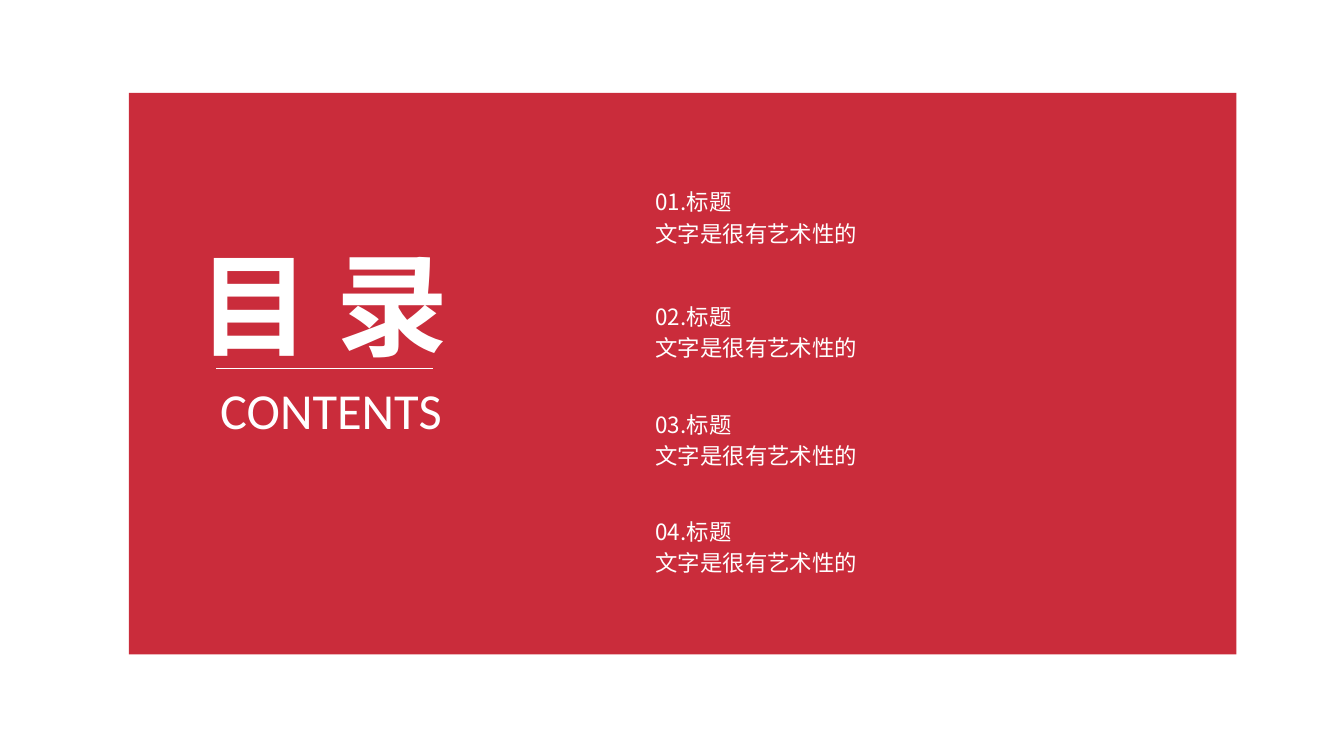
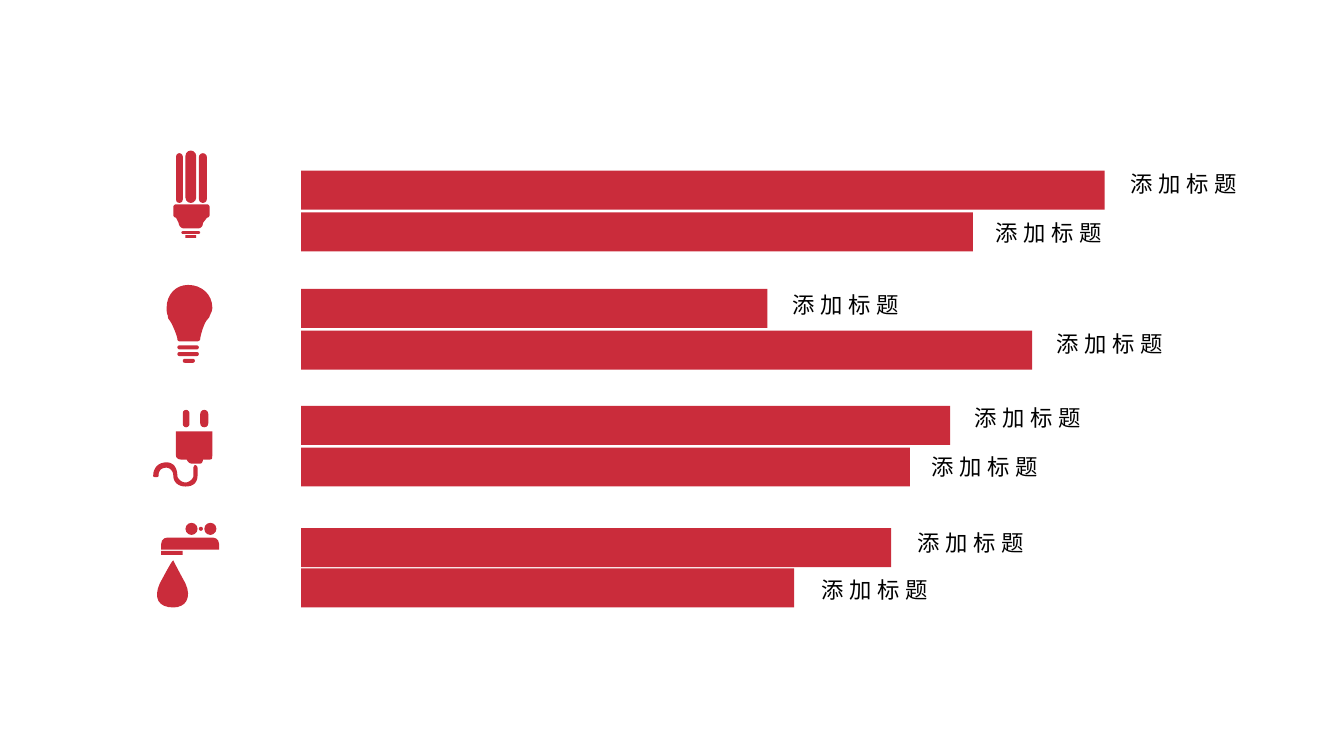
from lxml import etree
from pptx import Presentation
from pptx.dml.color import RGBColor
from pptx.enum.shapes import MSO_CONNECTOR, MSO_SHAPE
from pptx.enum.text import MSO_AUTO_SIZE, PP_ALIGN
from pptx.oxml.ns import qn
from pptx.util import Pt

PX = 9144  # 100 px to the inch
RED, WHITE, BLACK = "CA2C3B", "FFFFFF", "000000"
SANS, LATIN = "Noto Sans CJK SC", "Calibri"
RECT, OVAL = MSO_SHAPE.RECTANGLE, MSO_SHAPE.OVAL
PILL, TAP = MSO_SHAPE.ROUNDED_RECTANGLE, MSO_SHAPE.ROUND_2_SAME_RECTANGLE
LEFT, MID = PP_ALIGN.LEFT, PP_ALIGN.CENTER
STEPS = 8


def paint(shape, color):
    shape.shadow.inherit = False
    shape.fill.solid()
    shape.fill.fore_color.rgb = RGBColor.from_string(color)
    shape.line.fill.background()


def write(slide, box, text, size, color, font=SANS, bold=False,
          align=LEFT, wrap=True, space=0):
    """Add a one-run text box; space is letter spacing in points."""
    frame = slide.shapes.add_textbox(*[v * PX for v in box]).text_frame
    frame.word_wrap = wrap
    frame.auto_size = MSO_AUTO_SIZE.SHAPE_TO_FIT_TEXT
    para = frame.paragraphs[0]
    para.alignment = align
    run = para.add_run()
    run.text = text
    run.font.size = Pt(size)
    run.font.bold = bold
    run.font.color.rgb = RGBColor.from_string(color)
    run.font.name = font
    props = run.font._element
    etree.SubElement(props, qn("a:ea")).set("typeface", SANS)
    if space:
        props.set("spc", str(space * 100))


deck = Presentation()
deck.slide_width = 1000 * PX
deck.slide_height = deck.slide_width * 9 // 16
blank = deck.slide_layouts[6]

# Contents
slide = deck.slides.add_slide(blank)
panel = slide.shapes.add_shape(RECT, 96 * PX, 69 * PX, 824 * PX, 418 * PX)
paint(panel, RED)

items = [(135, 159, 30), (221, 244, 50), (301, 324, 50), (381, 404, 50)]
for num, (top, low, high) in enumerate(items, 1):
    write(slide, (478, top, 133, 30), f"{num:02}.标题", 12, WHITE)
    write(slide, (478, low, 346, high), "文字是很有艺术性的", 12, WHITE, LATIN)

write(slide, (138, 170, 297, 111), "目 录", 60, WHITE, bold=True)
rule = slide.shapes.add_connector(
    MSO_CONNECTOR.STRAIGHT, 161 * PX, 274 * PX, 322 * PX, 274 * PX)
rule.line.color.rgb = RGBColor.from_string(WHITE)
rule.line.width = Pt(0.75)
etree.SubElement(rule._element.spPr, qn("a:effectLst"))
write(slide, (154, 277, 222, 56), "CONTENTS", 27, WHITE, LATIN)

# Bars with icons
slide = deck.slides.add_slide(blank)

# Outlines: a start point, then lines (x, y) and curves (two handles, end)
drop = [(138, 434), (143, 445, 138, 452, 129, 452),
        (118, 452, 114, 445, 119, 434), (124, 425, 128, 417, 129, 417),
        (129, 417, 133, 425, 138, 434)]
plug = [(131, 321), (158, 321), (158, 339), (158, 341, 158, 342, 156, 342),
        (151, 342), (151, 344, 150, 345, 149, 345), (143, 345),
        (141, 345, 140, 344, 139, 342), (135, 342),
        (133, 342, 131, 341, 131, 339)]
cord = [(145, 346), (145, 346, 144, 347, 144, 348), (144, 354),
        (144, 356, 141, 359, 138, 359), (135, 359, 132, 356, 132, 354),
        (132, 348, 129, 344, 124, 344), (118, 344, 114, 348, 114, 354),
        (114, 355, 115, 355, 116, 355), (117, 355, 118, 355, 118, 354),
        (118, 350, 120, 348, 124, 348), (126, 348, 129, 350, 129, 354),
        (129, 359, 133, 362, 138, 362), (144, 362, 147, 359, 147, 354),
        (147, 348), (147, 347, 146, 346, 145, 346)]
bulb = [(158, 229), (158, 219, 150, 212, 140, 212),
        (131, 212, 124, 219, 124, 229), (124, 231, 124, 233, 125, 235),
        (125, 236, 125, 237, 126, 238), (129, 242, 132, 251, 132, 252),
        (132, 254, 133, 254, 135, 254), (146, 254),
        (147, 254, 149, 254, 149, 252), (149, 251, 151, 242, 154, 238),
        (155, 237, 156, 236, 156, 235), (157, 233, 158, 231, 158, 229)]
base = [(154, 152), (131, 152), (130, 152, 129, 153, 129, 154), (129, 160),
        (129, 161, 130, 162, 131, 162), (133, 166),
        (133, 168, 135, 170, 137, 170), (147, 170),
        (150, 170, 151, 168, 151, 166), (154, 162),
        (155, 162, 156, 161, 156, 160), (156, 154),
        (156, 153, 155, 152, 154, 152)]

icons = [
    ([(TAP, 120, 400, 43, 9), (RECT, 120, 410, 16, 3),
      (OVAL, 138, 389, 9, 9), (OVAL, 152, 389, 9, 9),
      (OVAL, 148, 392, 3, 3)], [drop]),
    ([(PILL, 136, 305, 5, 13), (PILL, 149, 305, 6, 13)], [plug, cord]),
    ([(PILL, 132, 257, 16, 3), (PILL, 132, 262, 16, 3),
      (PILL, 136, 267, 9, 3)], [bulb]),
    ([(PILL, 135, 172, 14, 2), (RECT, 138, 175, 8, 2),
      (PILL, 138, 112, 8, 39), (PILL, 131, 114, 5, 37),
      (PILL, 148, 114, 6, 37)], [base]),
]
for parts, paths in icons:
    group = slide.shapes.add_group_shape().shapes
    for kind, *box in parts:
        part = group.add_shape(kind, *[v * PX for v in box])
        if kind in (PILL, TAP):
            part.adjustments[0] = 0.5
        paint(part, RED)
    for start, *segs in paths:
        dots = [start]
        for seg in segs:
            if len(seg) == 2:
                dots.append(seg)
                continue
            ends = dots[-1]
            for step in range(1, STEPS + 1):
                t = step / STEPS
                u = 1 - t
                dots.append(tuple(
                    u**3 * ends[i] + 3 * u * u * t * seg[i]
                    + 3 * u * t * t * seg[i + 2] + t**3 * seg[i + 4]
                    for i in (0, 1)))
        dots = [(round(x * PX), round(y * PX)) for x, y in dots]
        form = group.build_freeform(*dots[0])
        form.add_line_segments(dots[1:], close=True)
        paint(form.convert_to_shape(), RED)

# Each bar: top, width, then left and top of its label
bars = [(127, 598, 829, 122), (158, 500, 728, 158),
        (215, 347, 577, 212), (246, 544, 774, 241),
        (302, 483, 713, 296), (333, 453, 681, 332),
        (393, 439, 670, 389), (423, 367, 599, 424)]
for top, wide, left, high in bars:
    bar = slide.shapes.add_shape(RECT, 224 * PX, top * PX, wide * PX, 29 * PX)
    paint(bar, RED)
    write(slide, (left, high, 104, 30), "添加标题", 12, BLACK,
          align=MID, wrap=False, space=3)

deck.save("out.pptx")
